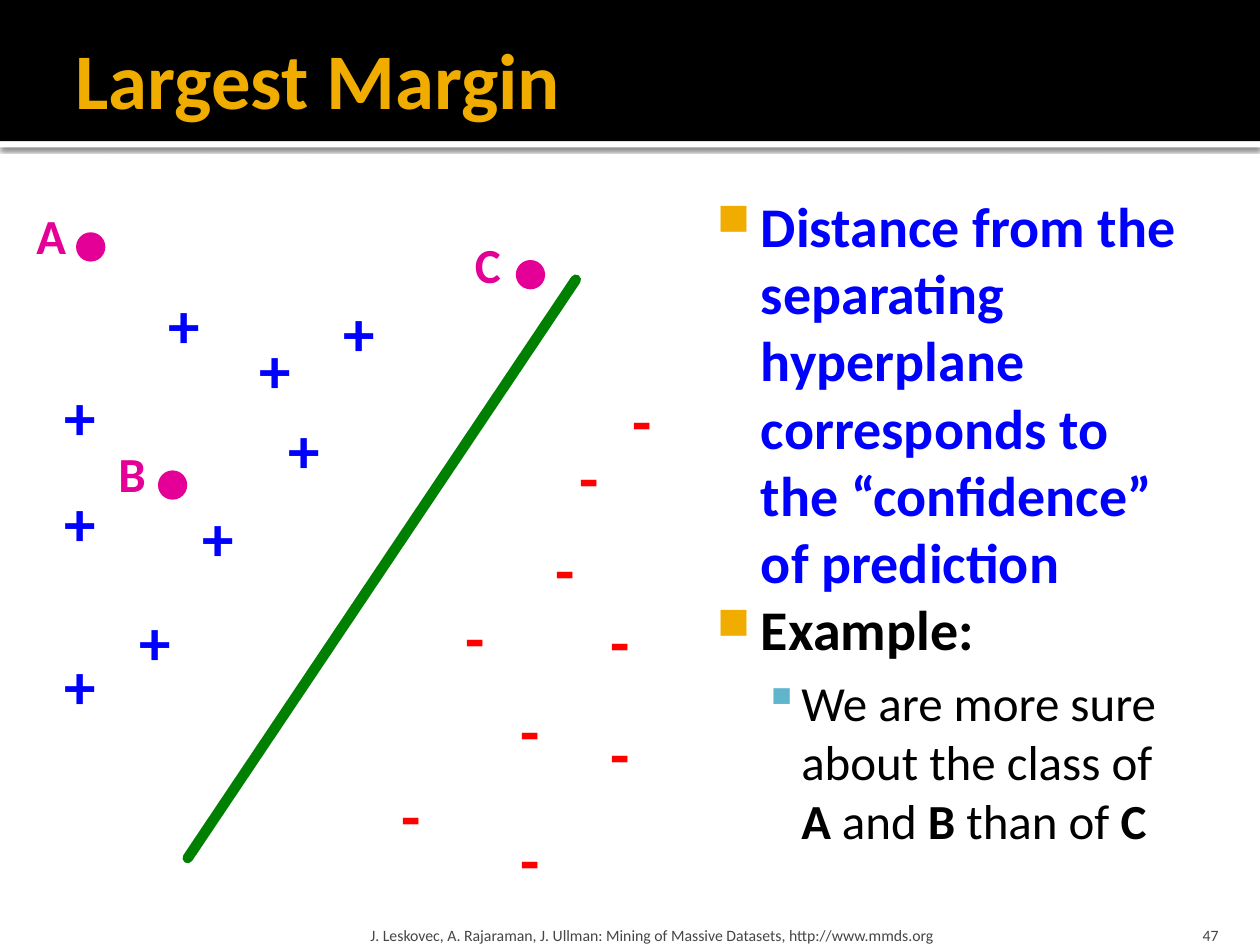
from dataclasses import dataclass

from lxml import etree
from pptx import Presentation
from pptx.dml.color import RGBColor
from pptx.enum.shapes import MSO_CONNECTOR, MSO_SHAPE
from pptx.enum.text import MSO_ANCHOR, MSO_AUTO_SIZE, PP_ALIGN
from pptx.oxml import parse_xml
from pptx.oxml.ns import nsdecls, qn
from pptx.util import Pt

PX = 9144  # EMU per px, 100 px to the inch
RECT, OVAL = MSO_SHAPE.RECTANGLE, MSO_SHAPE.OVAL
MIDDLE, BOTTOM = MSO_ANCHOR.MIDDLE, MSO_ANCHOR.BOTTOM
LEFT, RIGHT = PP_ALIGN.LEFT, PP_ALIGN.RIGHT


@dataclass(frozen=True)
class Theme:
    font: str = "Calibri"
    black: str = "000000"
    white: str = "FFFFFF"
    gold: str = "F0AD00"
    teal: str = "60B5CC"
    blue: str = "0000FF"
    red: str = "FF0000"
    green: str = "008000"
    pink: str = "E40096"
    gray: str = "454545"
    title: int = 45
    sign: int = 36
    body: int = 32
    detail: int = 28
    footer: int = 9


T = Theme()


def add_run(p, text, size=T.detail, color=T.black, bold=False):
    r = p.add_run()
    r.text = text
    r.font.name, r.font.size, r.font.bold = T.font, Pt(size), bold
    r.font.color.rgb = RGBColor.from_string(color)


def set_frame(shape, box, insets=(10, 5, 10, 5), wrap=True, anchor=MSO_ANCHOR.TOP):
    """Place a text shape, set up its frame and return the frame."""
    shape.left, shape.top, shape.width, shape.height = [v * PX for v in box]
    tf = shape.text_frame
    tf.margin_left, tf.margin_top, tf.margin_right, tf.margin_bottom = [v * PX for v in insets]
    tf.word_wrap, tf.vertical_anchor = wrap, anchor
    tf.auto_size = MSO_AUTO_SIZE.NONE if wrap else MSO_AUTO_SIZE.SHAPE_TO_FIT_TEXT
    return tf


prs = Presentation()
prs.slide_width, prs.slide_height = 1000 * PX, 750 * PX
s = prs.slides.add_slide(prs.slide_layouts[5])

# Header band with a soft shadow below its white edge
for top, height, color in [(112, 5, T.white), (0, 112, T.black)]:
    sp = s.shapes.add_shape(RECT, 0, top * PX, 1000 * PX, height * PX)
    sp.shadow.inherit = False
    sp.fill.solid()
    sp.fill.fore_color.rgb = RGBColor.from_string(color)
    sp.line.fill.background()
    if color == T.white:
        effects = sp.element.spPr.find(qn("a:effectLst"))
        effects.append(parse_xml(
            f'<a:outerShdw {nsdecls("a")} blurRad="31750" dist="10160" dir="5400000">'
            f'<a:srgbClr val="{T.black}"><a:alpha val="60000"/></a:srgbClr></a:outerShdw>'))

title = s.shapes.title
title.element.getparent().append(title.element)  # in front of the band
tf = set_frame(title, (50, 8, 900, 108), insets=(10, 5, 5, 5), anchor=MIDDLE)
tf.paragraphs[0].alignment = LEFT
add_run(tf.paragraphs[0], "Largest Margin", size=T.title, color=T.gold, bold=True)

# Separating hyperplane
hyperplane = s.shapes.add_connector(
    MSO_CONNECTOR.STRAIGHT, 149 * PX, 681 * PX, 457 * PX, 222 * PX)
hyperplane.line.width = Pt(6)
hyperplane.line.color.rgb = RGBColor.from_string(T.green)
spPr = hyperplane.element.spPr
spPr.find(qn("a:ln")).set("cap", "rnd")
etree.SubElement(spPr, qn("a:effectLst"))

# Training points of the two classes
classes = [
    ("+", T.blue, 45, [(124, 222), (263, 228), (151, 391), (219, 321), (41, 508),
                       (41, 379), (41, 295), (101, 473), (196, 257)]),
    ("-", T.red, 36, [(450, 343), (360, 470), (431, 416), (403, 544), (309, 611),
                      (403, 646), (475, 562), (475, 473), (492, 298)]),
]
for sign, color, width, points in classes:
    for x, y in points:
        tf = set_frame(s.shapes.add_textbox(0, 0, 0, 0), (x, y, width, 71), wrap=False)
        add_run(tf.paragraphs[0], sign, size=T.sign, color=color, bold=True)

# Query points with their labels
for name, x, y, width, dot_x, dot_y in [
    ("A", 19, 158, 44, 63, 187), ("B", 84, 347, 42, 128, 376), ("C", 367, 181, 41, 412, 209),
]:
    tf = set_frame(s.shapes.add_textbox(0, 0, 0, 0), (x, y, width, 57), wrap=False)
    add_run(tf.paragraphs[0], name, color=T.pink, bold=True)
    dot = s.shapes.add_shape(OVAL, dot_x * PX, dot_y * PX, 18 * PX, 18 * PX)
    dot.shadow.inherit = False
    dot.fill.solid()
    dot.fill.fore_color.rgb = dot.line.color.rgb = RGBColor.from_string(T.pink)
    dot.line.width = Pt(3.78)

# Explanation: level, size, colour, runs of (text, bold)
paragraphs = [
    (0, T.body, T.blue, [
        ("Distance from the separating hyperplane corresponds to the “confidence”", True),
        ("\n", True), ("of prediction", True)]),
    (0, T.body, T.black, [("Example:", True)]),
    (1, T.detail, T.black, [
        ("We are more sure about the class of ", False), ("A", True), (" and ", False),
        ("B ", True), ("than of ", False), ("C", True)]),
]
bullets = [(48, 35, "■", T.gold, 80), (80, 30, "▪", T.teal, 100)]
tf = set_frame(s.shapes.add_textbox(0, 0, 0, 0), (550, 142, 400, 575), insets=(6, 10, 10, 5))
for i, (level, size, color, runs) in enumerate(paragraphs):
    p = tf.add_paragraph() if i else tf.paragraphs[0]
    p.level = level
    if level:
        p.space_before = Pt(6)
    indent, hanging, char, bullet_color, percent = bullets[level]
    pPr = p._p.get_or_add_pPr()
    pPr.set("marL", str(indent * PX))
    pPr.set("indent", str(-hanging * PX))
    bullet = etree.SubElement(pPr, qn("a:buClr"))
    etree.SubElement(bullet, qn("a:srgbClr"), val=bullet_color)
    etree.SubElement(pPr, qn("a:buSzPct"), val=str(percent * 1000))
    etree.SubElement(pPr, qn("a:buChar"), char=char)
    for text, bold in runs:
        if text == "\n":
            p.add_line_break()
        else:
            add_run(p, text, size=size, color=color, bold=bold)

# Footer and slide number
for text, box, side, align in [
    ("J. Leskovec, A. Rajaraman, J. Ullman: Mining of Massive Datasets, http://www.mmds.org",
     (289, 720, 602, 30), 5, LEFT),
    ("47", (897, 720, 80, 30), 10, RIGHT),
]:
    tf = set_frame(s.shapes.add_textbox(0, 0, 0, 0), box, insets=(side, 5, side, 0), anchor=BOTTOM)
    tf.paragraphs[0].alignment = align
    add_run(tf.paragraphs[0], text, size=T.footer, color=T.gray)

prs.save("out.pptx")
